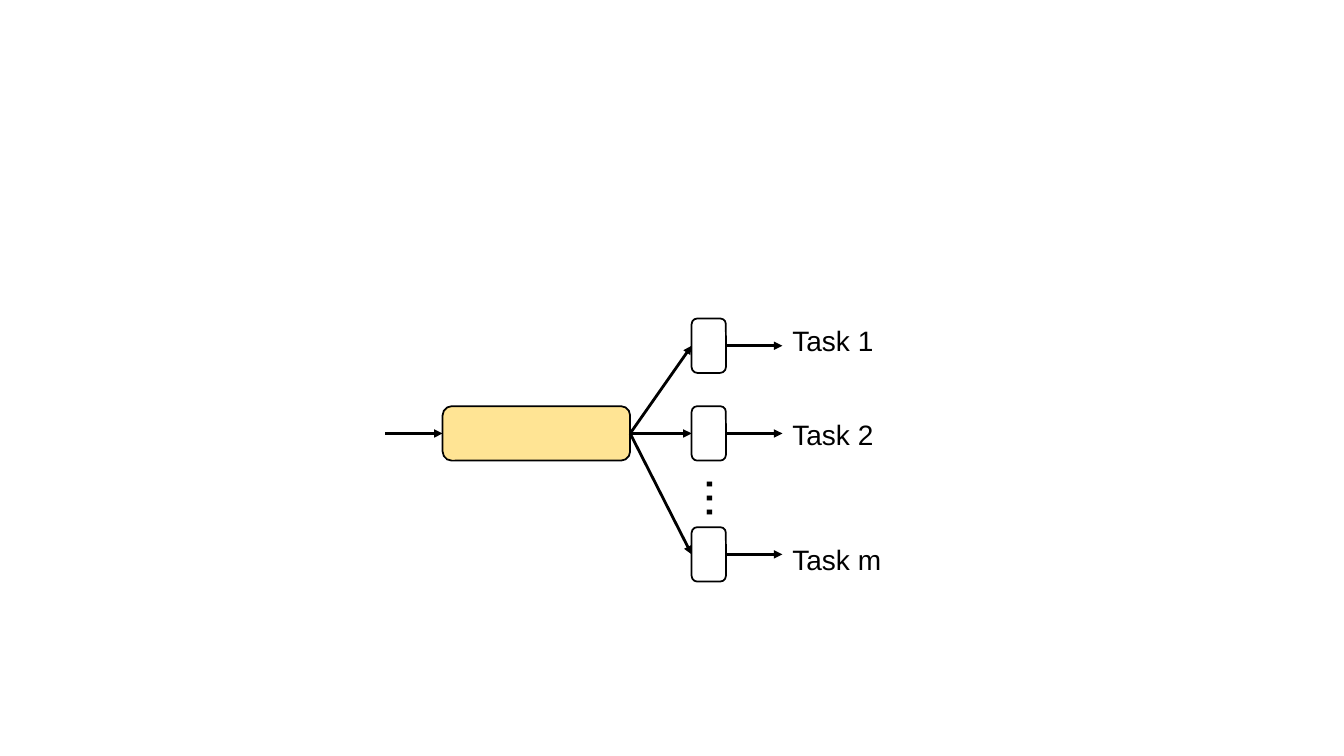
from pptx import Presentation
from pptx.dml.color import RGBColor
from pptx.enum.shapes import MSO_CONNECTOR, MSO_SHAPE
from pptx.enum.text import MSO_AUTO_SIZE
from pptx.oxml.ns import qn
from pptx.util import Inches, Pt
from lxml.etree import SubElement

BLACK, WHITE, AMBER = "000000", "FFFFFF", "FFC000"
TASKS = [("Task 1", 3.16, 3.16), ("Task 2", 4.03, 4.09), ("Task m", 5.23, 5.33)]
SHARED_X, SHARED_Y, SHARED_W = 4.39, 4.03, 1.86
HEAD_X, HEAD_W, BOX_H = 6.86, 0.34, 0.54
ARROW_W = 0.57
LABEL_X, LABEL_W, LABEL_H = 7.76, 1.28, 0.44

prs = Presentation()
prs.slide_width, prs.slide_height = Inches(13.33), Inches(7.5)
s = prs.slides.add_slide(prs.slide_layouts[6])


def color(value):
    return RGBColor.from_string(value)


def add_box(x, y, w, fill):
    sp = s.shapes.add_shape(MSO_SHAPE.ROUNDED_RECTANGLE, Inches(x), Inches(y), Inches(w), Inches(BOX_H))
    sp.adjustments[0] = 0.167
    sp.shadow.inherit = False
    sp.fill.solid()
    sp.fill.fore_color.rgb = color(fill)
    clr = sp._element.spPr.find(qn("a:solidFill")).find(qn("a:srgbClr"))
    SubElement(clr, qn("a:alpha")).set("val", "42000")
    sp.line.color.rgb = color(BLACK)
    sp.line.width = Pt(1.25)


def add_arrow(x1, y1, x2, y2):
    c = s.shapes.add_connector(MSO_CONNECTOR.STRAIGHT, Inches(x1), Inches(y1), Inches(x2), Inches(y2))
    c.line.color.rgb = color(BLACK)
    c.line.width = Pt(2)
    SubElement(c.line._get_or_add_ln(), qn("a:tailEnd")).set("type", "triangle")
    SubElement(c._element.spPr, qn("a:effectLst"))


def add_text(text, x, y, w, h, size, wrap=True):
    sp = s.shapes.add_textbox(Inches(x), Inches(y), Inches(w), Inches(h))
    tf = sp.text_frame
    tf.word_wrap = wrap
    tf.auto_size = MSO_AUTO_SIZE.SHAPE_TO_FIT_TEXT
    r = tf.paragraphs[0].add_run()
    r.text = text
    r.font.name = "Arial"
    r.font.size = Pt(size)
    r.font.color.rgb = color(BLACK)
    return tf


shared_mid = SHARED_Y + BOX_H / 2
shared_right = SHARED_X + SHARED_W
add_box(SHARED_X, SHARED_Y, SHARED_W, AMBER)
add_arrow(SHARED_X - ARROW_W, shared_mid, SHARED_X, shared_mid)

for label, head_y, label_y in TASKS:
    mid = head_y + BOX_H / 2
    add_box(HEAD_X, head_y, HEAD_W, WHITE)
    add_arrow(shared_right, shared_mid, HEAD_X, mid)
    add_arrow(HEAD_X + HEAD_W, mid, LABEL_X, mid)
    add_text(label, LABEL_X, label_y, LABEL_W, LABEL_H, 20)

dots = add_text("...", 6.75, 4.64, 0.81, 0.52, 36, wrap=False)
dots._txBody.bodyPr.set("vert", "eaVert")

prs.save("out.pptx")
